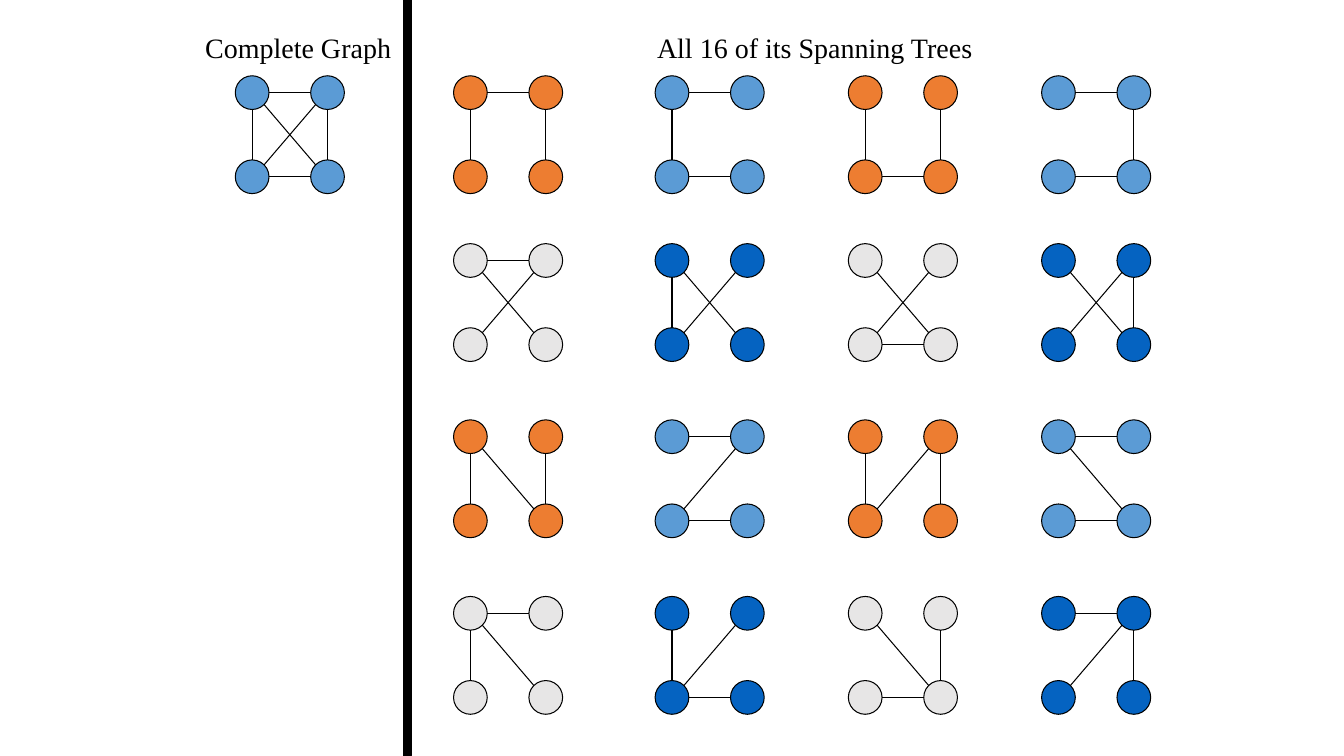
from math import hypot

from lxml.etree import SubElement
from pptx import Presentation
from pptx.dml.color import RGBColor
from pptx.enum.shapes import MSO_CONNECTOR, MSO_SHAPE
from pptx.enum.text import MSO_AUTO_SIZE, PP_ALIGN
from pptx.oxml.ns import qn
from pptx.util import Cm, Pt

BLACK = RGBColor(0x00, 0x00, 0x00)
LIGHT_BLUE = RGBColor(0x5B, 0x9B, 0xD5)
DARK_BLUE = RGBColor(0x05, 0x63, 0xC1)
ORANGE = RGBColor(0xED, 0x7D, 0x31)
GRAY = RGBColor(0xE7, 0xE6, 0xE6)

DIAMETER = 0.85
RADIUS = DIAMETER / 2
# Column and row of each node in its square
NODES = {"A": (0, 0), "B": (1, 0), "C": (0, 1), "D": (1, 1)}
NODE_STEP_X, NODE_STEP_Y = 1.9, 2.12

TREE_LEFTS = [11.43, 16.51, 21.38, 26.25]
# Top, colours of alternate columns, and edges of each tree
TREE_ROWS = [
    (1.91, (ORANGE, LIGHT_BLUE), ["AB AC BD", "AB AC CD", "AC CD BD", "AB BD CD"]),
    (6.14, (GRAY, DARK_BLUE), ["AB BC AD", "AC BC AD", "CD BC AD", "BD BC AD"]),
    (10.58, (ORANGE, LIGHT_BLUE), ["AC BD AD", "AB CD BC", "AC BD BC", "AB CD AD"]),
    (15.03, (GRAY, DARK_BLUE), ["AB AC AD", "AC CD BC", "CD BD AD", "AB BD BC"]),
]

presentation = Presentation()
presentation.slide_width = Cm(33.87)
presentation.slide_height = Cm(19.05)
slide = presentation.slides.add_slide(presentation.slide_layouts[6])


def add_text(text, left, top, width, height, size=20, font="Times New Roman",
             color=BLACK, align=PP_ALIGN.CENTER):
    box = slide.shapes.add_textbox(Cm(left), Cm(top), Cm(width), Cm(height))
    box.text_frame.word_wrap = True
    box.text_frame.auto_size = MSO_AUTO_SIZE.SHAPE_TO_FIT_TEXT
    paragraph = box.text_frame.paragraphs[0]
    paragraph.alignment = align
    run = paragraph.add_run()
    run.text = text
    run.font.size = Pt(size)
    run.font.name = font
    run.font.color.rgb = color


def add_shape(kind, left, top, width, height, fill):
    shape = slide.shapes.add_shape(kind, Cm(left), Cm(top), Cm(width), Cm(height))
    shape.shadow.inherit = False
    shape.fill.solid()
    shape.fill.fore_color.rgb = fill
    shape.line.color.rgb = BLACK
    shape.line.width = Pt(0.75)


graphs = [(5.93, 1.91, LIGHT_BLUE, "AB AC CD BD BC AD")]
for top, colors, trees in TREE_ROWS:
    for column, (left, edges) in enumerate(zip(TREE_LEFTS, trees)):
        graphs.append((left, top, colors[column % 2], edges))

for left, top, color, edges in graphs:
    centers = {}
    for name, (column, row) in NODES.items():
        node_left = left + column * NODE_STEP_X
        node_top = top + row * NODE_STEP_Y
        add_shape(MSO_SHAPE.OVAL, node_left, node_top, DIAMETER, DIAMETER, color)
        centers[name] = (node_left + RADIUS, node_top + RADIUS)

    for start, end in edges.split():
        # Edges meet the circles at multiples of 45 degrees
        direction_x = NODES[end][0] - NODES[start][0]
        direction_y = NODES[end][1] - NODES[start][1]
        trim = RADIUS / hypot(direction_x, direction_y)
        start_x, start_y = centers[start]
        end_x, end_y = centers[end]
        edge = slide.shapes.add_connector(
            MSO_CONNECTOR.STRAIGHT,
            Cm(start_x + direction_x * trim), Cm(start_y + direction_y * trim),
            Cm(end_x - direction_x * trim), Cm(end_y - direction_y * trim))
        edge.line.color.rgb = BLACK
        edge.line.width = Pt(0.75)
        SubElement(edge._element.spPr, qn("a:effectLst"))

add_text("Complete Graph", 4.87, 0.64, 5.29, 1.11)
add_text("All 16 of its Spanning Trees", 16.09, 0.64, 8.89, 1.11)
add_shape(MSO_SHAPE.RECTANGLE, 10.16, 0, 0.21, 19.05, BLACK)

presentation.save("out.pptx")
